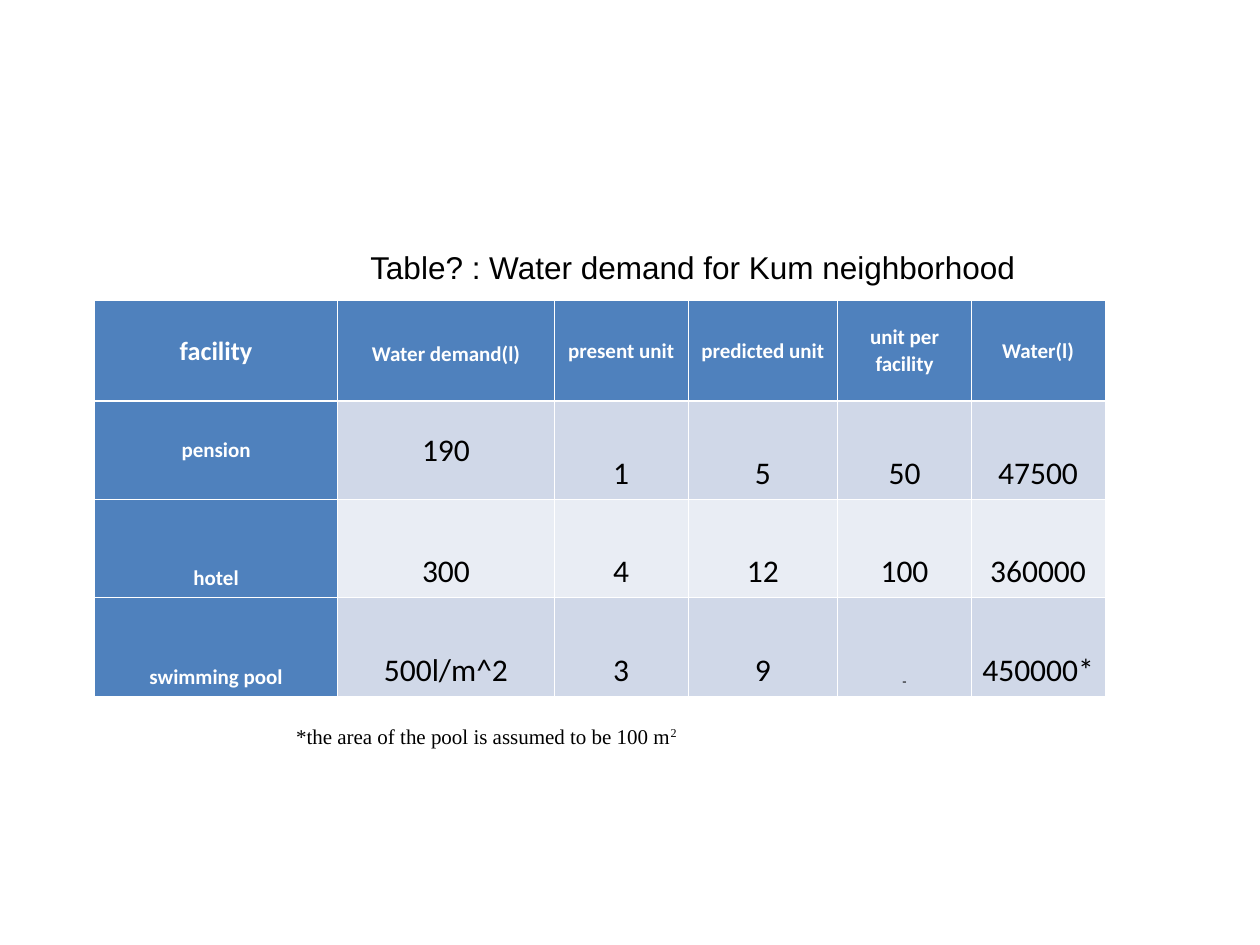
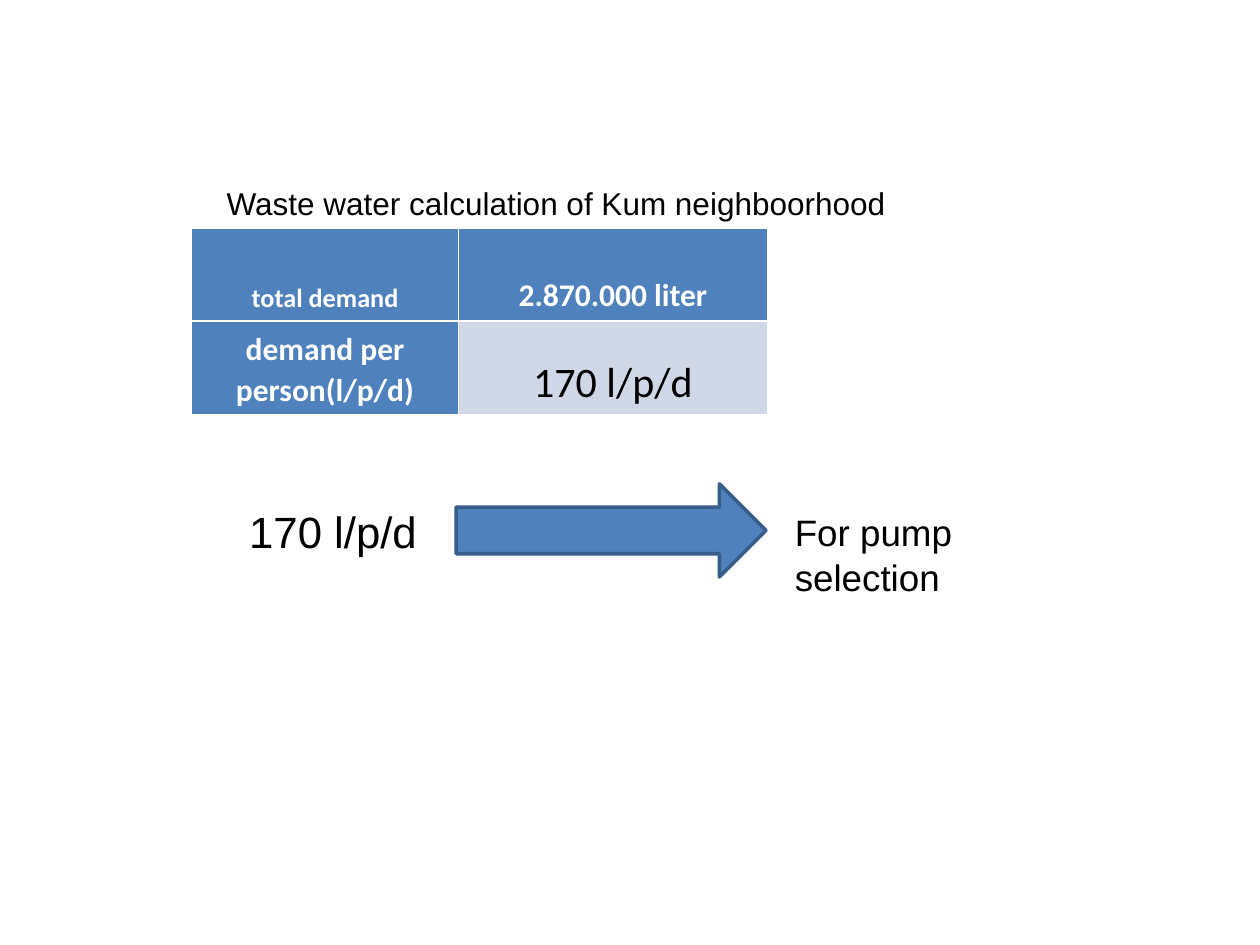
import pptx
import pptx.dml.color
import pptx.enum.shapes
import pptx.enum.text
import pptx.oxml
import pptx.oxml.ns
import pptx.util

Inches = pptx.util.Inches
Pt = pptx.util.Pt
RGBColor = pptx.dml.color.RGBColor
Anchor = pptx.enum.text.MSO_ANCHOR

BLACK = RGBColor(0, 0, 0)
WHITE = RGBColor(255, 255, 255)
BLUE = RGBColor(0x4F, 0x81, 0xBD)
EDGE = RGBColor(0x38, 0x5D, 0x8A)
BANDS = [RGBColor(0xE9, 0xED, 0xF4), RGBColor(0xD0, 0xD8, 0xE8)]

THIN, THICK = 0.45, 1.47


class Deck:
    body = "Arial"
    grid = "Calibri"

    def __init__(self):
        self.file = pptx.Presentation()
        self.file.slide_width = Inches(10)
        self.file.slide_height = Inches(7.5)
        self.slide = None

    def page(self):
        self.slide = self.file.slides.add_slide(self.file.slide_layouts[6])

    def style(self, para, size, name, color=BLACK, bold=False):
        font = para.font
        font.size = Pt(size)
        font.name = name
        font.bold = bold
        font.color.rgb = color

    def text(self, words, left, top, width, height, size=18, name=None):
        box = self.slide.shapes.add_textbox(*map(Inches, (left, top, width, height)))
        frame = box.text_frame
        frame.word_wrap = True
        para = frame.paragraphs[0]
        para.text = words
        self.style(para, size, name or self.body)
        return frame

    def note(self, words, power, *place):
        frame = self.text(words, *place, size=12, name="Times New Roman")
        frame.vertical_anchor = Anchor.MIDDLE
        frame.margin_left = frame.margin_right = Inches(0.08)
        frame.margin_top = frame.margin_bottom = Inches(0.04)
        run = frame.paragraphs[0].add_run()
        run.text = power
        run.font._element.set("baseline", "30000")

    def border(self, cell, side, width):
        space = pptx.oxml.ns.nsdecls("a")
        line = pptx.oxml.parse_xml(
            f'<a:ln{side} {space} w="{Pt(width)}"><a:solidFill>'
            f'<a:srgbClr val="{WHITE}"/></a:solidFill></a:ln{side}>')
        cell._tc.get_or_add_tcPr().append(line)

    def cell(self, cell, row, col, words, size, middle):
        for side in "LRTB":
            heavy = (side, row) in (("B", 0), ("T", 1))
            self.border(cell, side, THICK if heavy else THIN)
        head = row == 0 or col == 0
        cell.fill.solid()
        cell.fill.fore_color.rgb = BLUE if head else BANDS[row % 2]
        cell.margin_left = cell.margin_right = Inches(0.04)
        cell.margin_top = cell.margin_bottom = Inches(0.05)
        cell.vertical_anchor = Anchor.MIDDLE if middle else Anchor.BOTTOM
        para = cell.text_frame.paragraphs[0]
        para.text = words
        para.alignment = pptx.enum.text.PP_ALIGN.CENTER
        para.line_spacing = 1.07
        self.style(para, size, self.grid, WHITE if head else BLACK, head)

    def table(self, data, left, top, cols, rows, sizes, middle=()):
        place = map(Inches, (left, top, sum(cols), sum(rows)))
        table = self.slide.shapes.add_table(len(rows), len(cols), *place).table
        table.first_row = table.horz_banding = False
        for col, width in zip(table.columns, cols):
            col.width = Inches(width)
        for row, height in zip(table.rows, rows):
            row.height = Inches(height)
        for r, line in enumerate(data):
            for c, words in enumerate(line):
                self.cell(table.cell(r, c), r, c, words, sizes[r][c], (r, c) in middle)
        return table

    def arrow(self, left, top, width, height):
        kind = pptx.enum.shapes.MSO_SHAPE.RIGHT_ARROW
        shape = self.slide.shapes.add_shape(kind, *map(Inches, (left, top, width, height)))
        shape.shadow.inherit = False
        shape.fill.solid()
        shape.fill.fore_color.rgb = BLUE
        shape.line.color.rgb = EDGE
        shape.line.width = Pt(2)


def demand(deck):
    deck.page()
    deck.text("Table? : Water demand for Kum neighborhood", 2.84, 1.92, 5.48, 0.4)
    data = [
        ["facility", "Water demand(l)", "present unit", "predicted unit",
         "unit per facility", "Water(l)"],
        ["pension", "190", "1", "5", "50", "47500"],
        ["hotel", "300", "4", "12", "100", "360000"],
        ["swimming pool", "500l/m^2", "3", "9", "-", "450000*"],
    ]
    plain = [12] + [18] * 5
    sizes = [[15] + [12] * 5, plain, plain, [12, 18, 18, 18, 8, 18]]
    middle = {(0, c) for c in (0, 2, 3, 4, 5)} | {(1, 0), (1, 1)}
    table = deck.table(data, 0.75, 2.38, [1.93, 1.72, 1.06, 1.19, 1.06, 1.06],
                       [0.8, 0.78, 0.78, 0.79], sizes, middle)
    table.cell(0, 1).margin_bottom = Inches(0.27)
    deck.note("*the area of the pool is assumed to be 100 m", "2",
              2.27, 5.7, 3.32, 0.28)


def waste(deck):
    deck.page()
    data = [["total demand", "2.870.000 liter"],
            ["demand per person(l/p/d)", "170 l/p/d"]]
    deck.table(data, 1.52, 1.81, [2.12, 2.45], [0.74, 0.64], [[15, 18], [18, 24]])
    deck.text("Waste water calculation of Kum neighboorhood", 1.7, 1.41, 6.37, 0.4)
    deck.text("170 l/p/d", 1.88, 3.96, 1.54, 0.52, 25)
    deck.arrow(3.62, 3.84, 2.46, 0.74)
    deck.text("For pump selection", 6.21, 4, 2.6, 0.8, 21)


def main():
    deck = Deck()
    demand(deck)
    waste(deck)
    deck.file.save("out.pptx")


if __name__ == "__main__":
    main()
